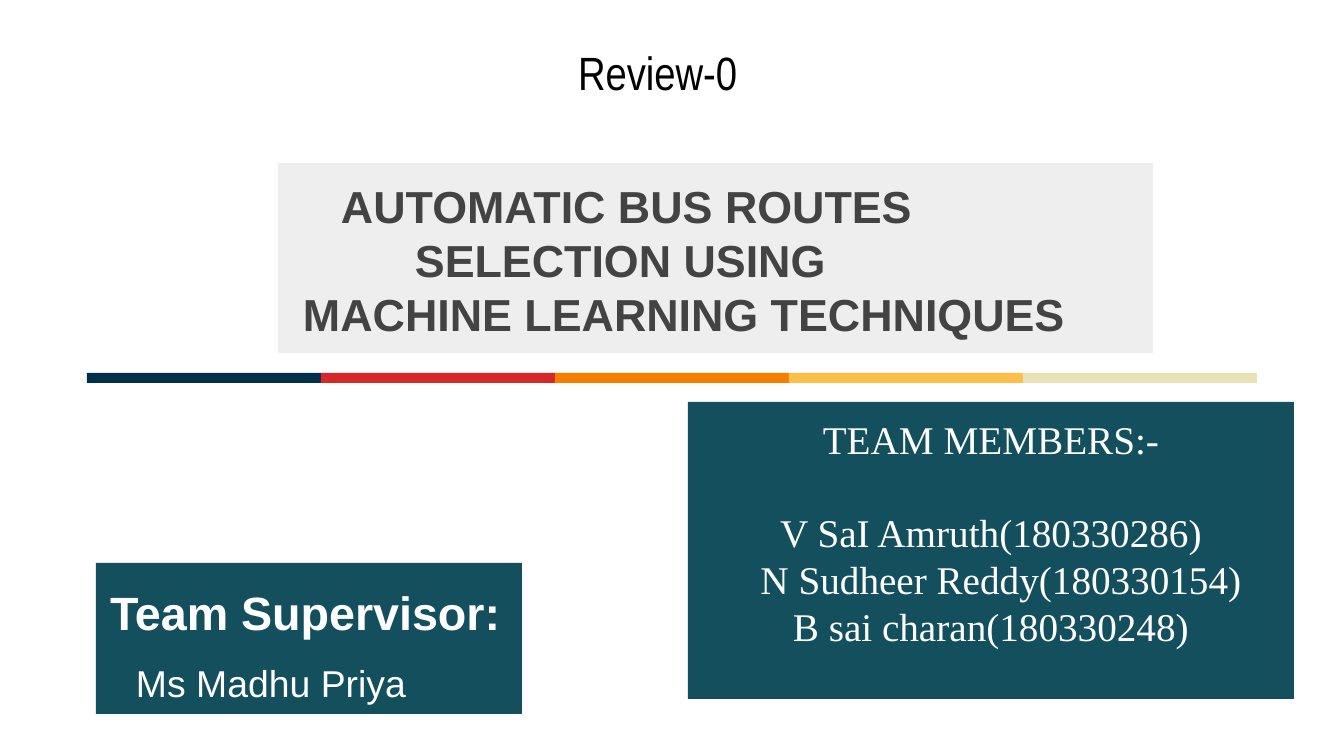
from pptx import Presentation
from pptx.dml.color import RGBColor
from pptx.enum.shapes import MSO_SHAPE
from pptx.enum.text import MSO_ANCHOR, PP_ALIGN
from pptx.util import Pt

WHITE = RGBColor(0xFF, 0xFF, 0xFF)
BLACK = RGBColor(0x00, 0x00, 0x00)
GREY = RGBColor(0x43, 0x43, 0x43)
PALE = RGBColor(0xEE, 0xEE, 0xEE)
TEAL = RGBColor(0x13, 0x4F, 0x5C)
BANDS = [
    RGBColor(0x00, 0x30, 0x49),
    RGBColor(0xD6, 0x28, 0x28),
    RGBColor(0xF7, 0x7F, 0x00),
    RGBColor(0xFC, 0xBF, 0x49),
    RGBColor(0xEA, 0xE2, 0xB7),
]
BAND_LEFT, BAND_TOP, BAND_WIDTH, BAND_HEIGHT = 87, 373, 234, 10
SLIDE_WIDTH, SLIDE_HEIGHT = 1344, 756
EMU_PER_PX = 914400 / 134.4
INSET = 13

# Each line: text, size in pt, bold, indent in px, space before in pt
PANELS = [
    dict(at=(278, 163, 875, 190), fill=PALE, color=GREY, font="Arial",
         anchor=MSO_ANCHOR.BOTTOM, align=PP_ALIGN.LEFT, spacing=1.0,
         lines=[("AUTOMATIC BUS ROUTES", 24, True, 50, 0),
                ("SELECTION USING", 24, True, 124, 0),
                ("MACHINE LEARNING TECHNIQUES", 24, True, 12, 0)]),
    dict(at=(523, 31, 282, 83), fill=None, color=BLACK, font="Arial Narrow",
         anchor=MSO_ANCHOR.TOP, align=PP_ALIGN.LEFT, spacing=1.0,
         lines=[("Review-0", 25, False, 42, 0)]),
    dict(at=(688, 402, 606, 297), fill=TEAL, color=WHITE, font="Times New Roman",
         anchor=MSO_ANCHOR.TOP, align=PP_ALIGN.CENTER, spacing=1.0,
         lines=[("TEAM MEMBERS:-", 21, False, 0, 0),
                ("V SaI Amruth(180330286)", 21, False, 0, 25),
                ("N Sudheer Reddy(180330154)", 21, False, 20, 0),
                ("B sai charan(180330248)", 21, False, 0, 0)]),
    dict(at=(96, 563, 426, 151), fill=TEAL, color=WHITE, font="Arial",
         anchor=MSO_ANCHOR.TOP, align=PP_ALIGN.LEFT, spacing=1.15,
         lines=[("Team Supervisor:", 25, True, 1, 1),
                ("Ms Madhu Priya", 20, False, 27, 7)]),
]


def px(length):
    """Turn pixels into EMU."""
    return round(length * EMU_PER_PX)


def add_block(page, at, fill):
    """Add a plain rectangle without outline or shadow."""
    block = page.shapes.add_shape(MSO_SHAPE.RECTANGLE, *map(px, at))
    block.shadow.inherit = False
    block.line.fill.background()
    block.fill.solid()
    block.fill.fore_color.rgb = fill
    return block


def add_panel(page, panel):
    """Add one text panel, filled or clear."""
    if panel["fill"] is None:
        box = page.shapes.add_textbox(*map(px, panel["at"]))
    else:
        box = add_block(page, panel["at"], panel["fill"])
    frame = box.text_frame
    frame.word_wrap = True
    frame.vertical_anchor = panel["anchor"]
    frame.margin_left = frame.margin_right = px(INSET)
    frame.margin_top = frame.margin_bottom = px(INSET)
    frame.text = "\n".join(line[0] for line in panel["lines"])
    for para, (_, size, bold, indent, before) in zip(frame.paragraphs, panel["lines"]):
        para.alignment = panel["align"]
        para.line_spacing = panel["spacing"]
        para.space_before = Pt(before)
        para._p.get_or_add_pPr().set("marL", str(px(indent)))
        font = para.runs[0].font
        font.name = panel["font"]
        font.size = Pt(size)
        font.bold = bold
        font.color.rgb = panel["color"]


def main():
    """Build and save the title slide."""
    deck = Presentation()
    deck.slide_width, deck.slide_height = px(SLIDE_WIDTH), px(SLIDE_HEIGHT)
    page = deck.slides.add_slide(deck.slide_layouts[6])
    page.background.fill.solid()
    page.background.fill.fore_color.rgb = WHITE
    for index, color in enumerate(BANDS):
        left = BAND_LEFT + index * BAND_WIDTH
        add_block(page, (left, BAND_TOP, BAND_WIDTH, BAND_HEIGHT), color)
    for panel in PANELS:
        add_panel(page, panel)
    deck.save("out.pptx")


if __name__ == "__main__":
    main()
